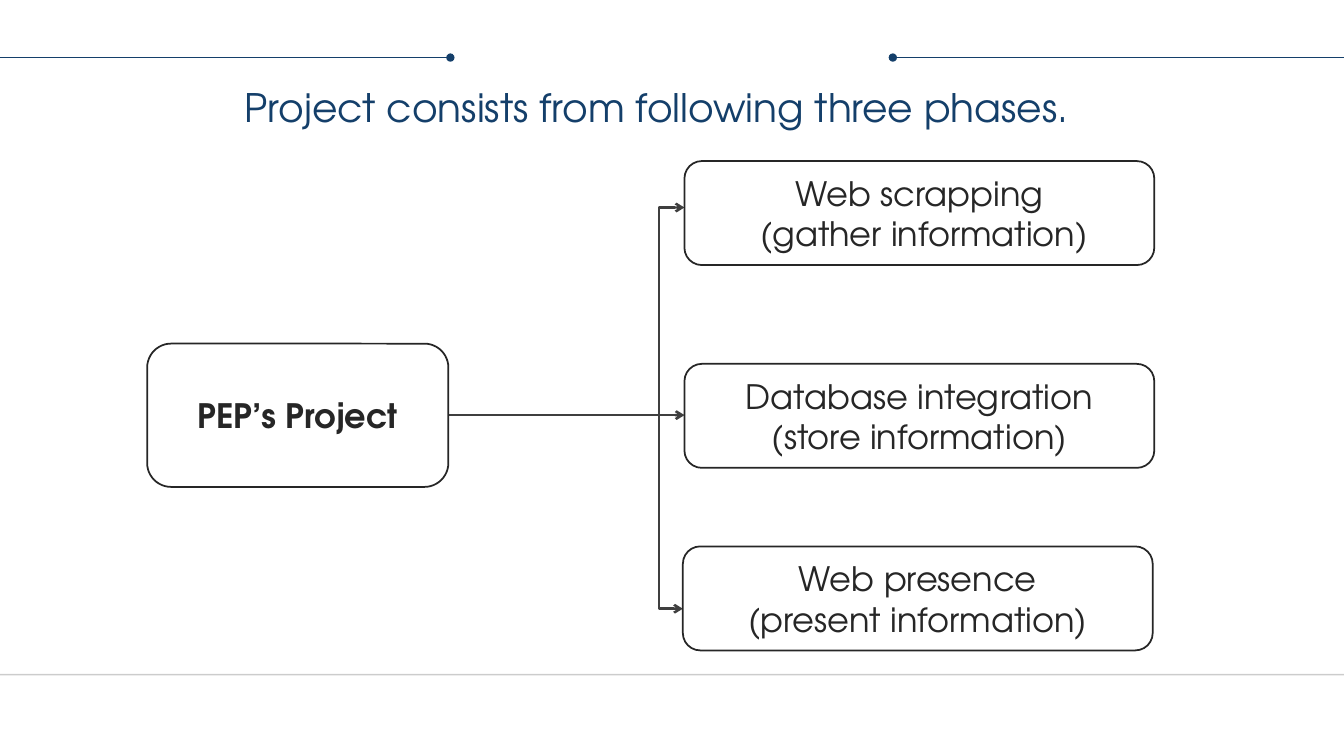
from lxml import etree
from pptx import Presentation
from pptx import util as u
from pptx.dml.color import RGBColor
from pptx.enum import shapes, text
from pptx.oxml import ns

FONT = "TeX Gyre Adventor"
NAVY, INK, ARROW, WHITE = "143F6A", "262626", "3F3F3F", "FFFFFF"
SLIDE_WIDTH, SLIDE_HEIGHT = 33.87, 19.05
RULE_Y = 1.45
PANEL_TOP, PANEL_BOTTOM = 1.3, 17
PROJECT_RIGHT, PROJECT_MIDDLE = 11.3, 10.46
PHASE_LEFT, LAST_PHASE_LEFT, BRANCH_X = 17.25, 17.21, 16.61
PHASES = [
    (PHASE_LEFT, 4.06, ["Web scrapping", " (gather information)"]),
    (PHASE_LEFT, 9.17, ["Database integration", "(store information)"]),
    (LAST_PHASE_LEFT, 13.77, ["Web presence", "(present information)"]),
]


def color(hex_string):
    return RGBColor.from_string(hex_string)


def add_line(slide, start, end, hex_color, width, head=None, tail=None,
             kind=shapes.MSO_CONNECTOR.STRAIGHT):
    """Draw a connector; head is the mark at its start, tail at its end."""
    points = [u.Cm(value) for value in (*start, *end)]
    connector = slide.shapes.add_connector(kind, *points)
    connector.line.color.rgb = color(hex_color)
    connector.line.width = u.Pt(width)
    outline = connector.line._get_or_add_ln()
    for tag, mark in (("a:headEnd", head), ("a:tailEnd", tail)):
        if mark:
            etree.SubElement(outline, ns.qn(tag), type=mark)
    etree.SubElement(connector._element.spPr, ns.qn("a:effectLst"))
    return connector


def set_opacity(connector, percent):
    solid_color = connector._element.spPr.find(".//" + ns.qn("a:srgbClr"))
    etree.SubElement(solid_color, ns.qn("a:alpha"), val=str(percent * 1000))


def set_bend(connector, ratio):
    """Place the bend at a multiple of the connector's width."""
    geometry = connector._element.spPr.find(ns.qn("a:prstGeom"))
    guides = geometry.find(ns.qn("a:avLst"))
    if guides is None:
        guides = etree.SubElement(geometry, ns.qn("a:avLst"))
    etree.SubElement(guides, ns.qn("a:gd"), name="adj1",
                     fmla=f"val {round(ratio * 100000)}")


def write_lines(frame, lines, size, hex_color, bold=False,
                align=text.PP_ALIGN.CENTER):
    frame.word_wrap = True
    for index, line in enumerate(lines):
        paragraph = frame.add_paragraph() if index else frame.paragraphs[0]
        paragraph.alignment = align
        run = paragraph.add_run()
        run.text = line
        run.font.name = FONT
        run.font.size = u.Pt(size)
        run.font.bold = bold
        run.font.color.rgb = color(hex_color)


def add_block(slide, kind, left, top, width, height):
    """Add a white shape without shadow."""
    box = [u.Cm(value) for value in (left, top, width, height)]
    shape = slide.shapes.add_shape(kind, *box)
    shape.shadow.inherit = False
    shape.fill.solid()
    shape.fill.fore_color.rgb = color(WHITE)
    return shape


def add_panel(slide):
    panel = add_block(slide, shapes.MSO_SHAPE.RECTANGLE, 0, PANEL_TOP,
                      SLIDE_WIDTH, PANEL_BOTTOM - PANEL_TOP)
    panel.line.fill.background()
    edge = add_line(slide, (0, PANEL_BOTTOM), (SLIDE_WIDTH, PANEL_BOTTOM), "000001", 1)
    set_opacity(edge, 20)


def add_node(slide, left, top, width, height, lines, bold=False):
    node = add_block(slide, shapes.MSO_SHAPE.ROUNDED_RECTANGLE,
                     left, top, width, height)
    node.line.color.rgb = color(INK)
    node.line.width = u.Pt(1.25)
    node.text_frame.vertical_anchor = text.MSO_ANCHOR.MIDDLE
    write_lines(node.text_frame, lines, 24, INK, bold)


def add_title(slide, title):
    box = slide.shapes.add_textbox(u.Cm(5.92), u.Cm(1.98), u.Cm(22.15), u.Cm(2.64))
    write_lines(box.text_frame, [title], 28, NAVY, align=text.PP_ALIGN.LEFT)


def add_arrows(slide):
    add_line(slide, (PROJECT_RIGHT, PROJECT_MIDDLE), (PHASE_LEFT, PROJECT_MIDDLE),
             ARROW, 1.75, tail="arrow")
    branch = add_line(slide, (PHASE_LEFT, 5.23), (LAST_PHASE_LEFT, 15.34),
                      ARROW, 1.75, "arrow", "arrow", shapes.MSO_CONNECTOR.ELBOW)
    set_bend(branch, (PHASE_LEFT - BRANCH_X) / (PHASE_LEFT - LAST_PHASE_LEFT))


def main():
    presentation = Presentation()
    presentation.slide_width = u.Cm(SLIDE_WIDTH)
    presentation.slide_height = u.Cm(SLIDE_HEIGHT)
    slide = presentation.slides.add_slide(presentation.slide_layouts[6])

    add_panel(slide)
    add_line(slide, (22.5, RULE_Y), (SLIDE_WIDTH, RULE_Y), NAVY, 0.75, head="oval")
    add_line(slide, (0, RULE_Y), (11.35, RULE_Y), NAVY, 0.75, tail="oval")
    add_arrows(slide)
    add_title(slide, "Project consists from following three phases.")
    add_node(slide, 3.71, 8.66, 7.59, 3.61, ["PEP’s Project"], bold=True)
    for left, top, lines in PHASES:
        add_node(slide, left, top, 11.84, 2.62, lines)

    presentation.save("out.pptx")


if __name__ == "__main__":
    main()
